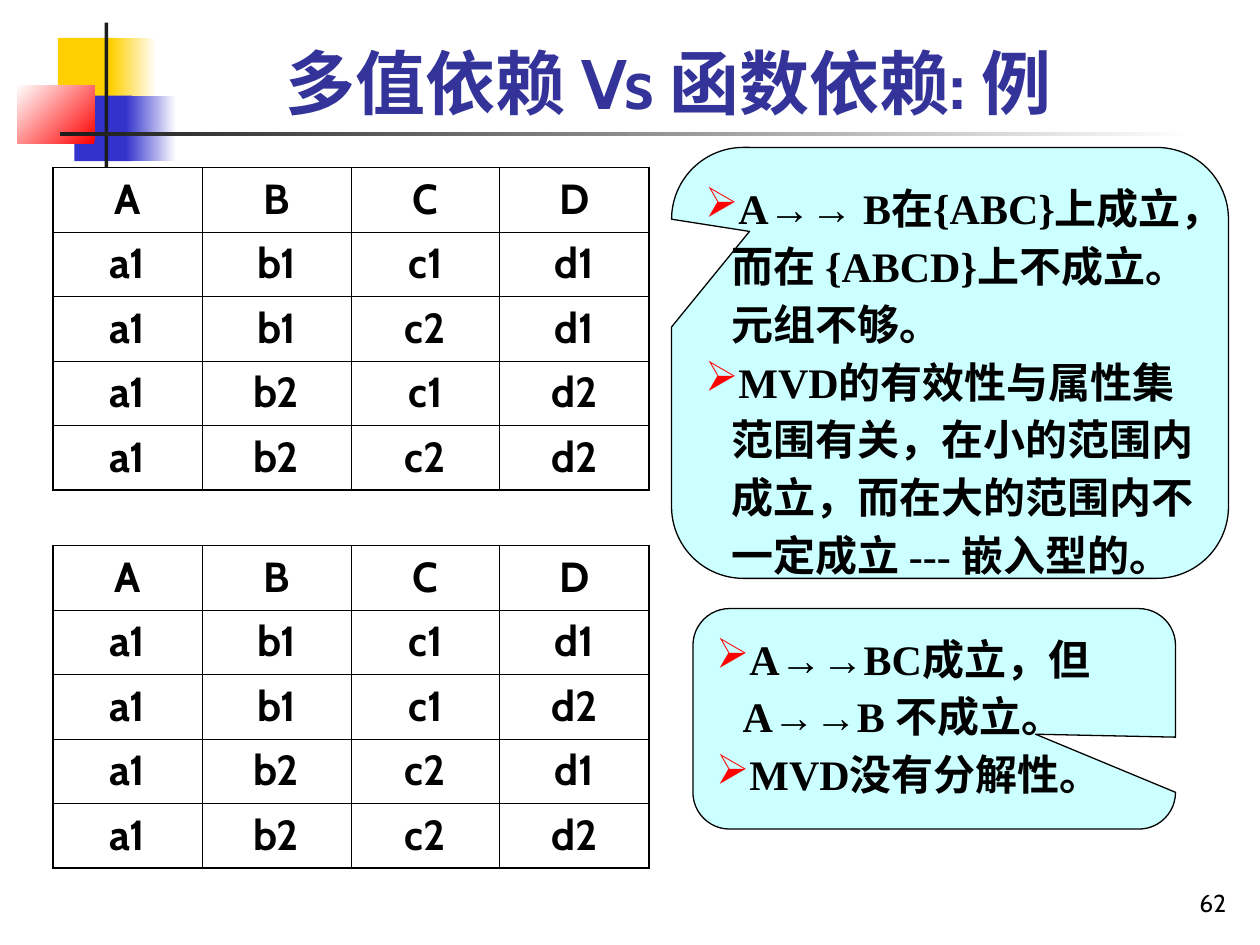
from pptx import Presentation
from pptx import util as u
from pptx.dml.color import RGBColor
from pptx.enum import shapes, text
from pptx.oxml.ns import qn
from lxml import etree

BLACK, WHITE, DARK = "000000", "FFFFFF", "1C1C1C"
YELLOW, BLUE, RED = "FFCF01", "3333CC", "FF0000"
THIN, THICK = 0.45, 1.08

# Each bullet is a list of (text, font) runs
SERIF, ARROW = "Times New Roman", "Arial"
SCOPE_NOTES = [
    [("A", SERIF), ("→→", ARROW),
     (" B在{ABC}上成立，而在 {ABCD}上不成立。元组不够。", SERIF)],
    [("MVD的有效性与属性集范围有关，在小的范围内成立，"
      "而在大的范围内不一定成立 --- 嵌入型的。", SERIF)],
]
SPLIT_NOTES = [
    [("A", SERIF), ("→→", ARROW), ("BC成立，但A", SERIF),
     ("→→", ARROW), ("B 不成立。", SERIF)],
    [("MVD没有分解性。", SERIF)],
]
HEADER = "A B C D"
UPPER_ROWS = [HEADER, "a1 b1 c1 d1", "a1 b1 c2 d1", "a1 b2 c1 d2", "a1 b2 c2 d2"]
LOWER_ROWS = [HEADER, "a1 b1 c1 d1", "a1 b1 c1 d2", "a1 b2 c2 d1", "a1 b2 c2 d2"]


def rgb(value):
    return RGBColor.from_string(value)


def inches(*lengths):
    return [u.Inches(length) for length in lengths]


def add_run(paragraph, content, *, font="Cabin", size=24, color=BLACK, bold=True):
    run = paragraph.add_run()
    run.text = content
    run.font.name = font
    run.font.size = u.Pt(size)
    run.font.bold = bold
    run.font.color.rgb = rgb(color)


def add_block(slide, box, color, fade_to=None, angle=180):
    """Rectangle without outline; fades from fade_to to color if given."""
    shape = slide.shapes.add_shape(shapes.MSO_SHAPE.RECTANGLE, *inches(*box))
    shape.shadow.inherit = False
    shape.line.fill.background()
    if fade_to is None:
        shape.fill.solid()
        shape.fill.fore_color.rgb = rgb(color)
    else:
        shape.fill.gradient()
        shape.fill.gradient_angle = angle
        for stop, value in zip(shape.fill.gradient_stops, (fade_to, color)):
            stop.color.rgb = rgb(value)


def add_text(slide, box, content, align, **style):
    frame = slide.shapes.add_textbox(*inches(*box)).text_frame
    frame.word_wrap = True
    frame.vertical_anchor = text.MSO_ANCHOR.BOTTOM
    paragraph = frame.paragraphs[0]
    paragraph.alignment = align
    add_run(paragraph, content, **style)


def add_bullet(paragraph, char, color):
    properties = paragraph._p.get_or_add_pPr()
    properties.set("marL", str(u.Inches(0.21)))
    properties.set("indent", str(u.Inches(-0.21)))
    bullet_color = etree.SubElement(properties, qn("a:buClr"))
    etree.SubElement(bullet_color, qn("a:srgbClr"), val=color)
    etree.SubElement(properties, qn("a:buChar"), char=char)


def add_callout(slide, box, tip, notes):
    shape = slide.shapes.add_shape(
        shapes.MSO_SHAPE.ROUNDED_RECTANGULAR_CALLOUT, *inches(*box))
    shape.shadow.inherit = False
    shape.adjustments[0], shape.adjustments[1] = tip
    shape.fill.solid()
    shape.fill.fore_color.rgb = rgb("CCFFFF")
    shape.line.color.rgb = rgb(BLACK)
    shape.line.width = u.Pt(0.75)
    frame = shape.text_frame
    frame.word_wrap = True
    frame.vertical_anchor = text.MSO_ANCHOR.TOP
    for index, runs in enumerate(notes):
        paragraph = frame.add_paragraph() if index else frame.paragraphs[0]
        add_bullet(paragraph, "➢", RED)
        paragraph.alignment = text.PP_ALIGN.LEFT
        paragraph.line_spacing = 1.15
        for content, font in runs:
            add_run(paragraph, content, font=font)


def set_borders(cell, widths):
    properties = cell._tc.get_or_add_tcPr()
    for side, width in widths.items():
        line = etree.SubElement(properties, qn(f"a:ln{side}"), w=str(u.Pt(width)))
        fill = etree.SubElement(line, qn("a:solidFill"))
        etree.SubElement(fill, qn("a:srgbClr"), val=BLACK)


def add_relation(slide, top, rows):
    """Table of tuples with thin inner lines and a thicker frame."""
    values = [row.split() for row in rows]
    last_row, last_column = len(values) - 1, len(values[0]) - 1
    table = slide.shapes.add_table(
        len(values), len(values[0]), *inches(0.42, top, 4.73, 2.56)).table
    for r, row in enumerate(values):
        for c, value in enumerate(row):
            cell = table.cell(r, c)
            set_borders(cell, {
                "L": THICK if c == 0 else THIN,
                "R": THICK if c == last_column else THIN,
                "T": THICK if r == 0 else THIN,
                "B": THICK if r == last_row else THIN,
            })
            cell.fill.background()
            paragraph = cell.text_frame.paragraphs[0]
            paragraph.alignment = text.PP_ALIGN.CENTER
            add_run(paragraph, value)


def main():
    presentation = Presentation()
    presentation.slide_width, presentation.slide_height = inches(10, 7.5)
    slide = presentation.slides.add_slide(presentation.slide_layouts[6])

    # Corner decoration and title rule
    add_block(slide, (0.46, 0.3, 0.48, 0.52), YELLOW)
    add_block(slide, (0.88, 0.3, 0.36, 0.52), YELLOW, fade_to=WHITE)
    add_block(slide, (0.59, 0.76, 0.46, 0.52), BLUE)
    add_block(slide, (1, 0.76, 0.4, 0.52), BLUE, fade_to=WHITE)
    add_block(slide, (0.14, 0.68, 0.61, 0.46), WHITE, fade_to=RED, angle=135)
    add_block(slide, (0.83, 0.18, 0.03, 1.15), DARK)
    add_block(slide, (0.48, 1.05, 9, 0.03), DARK, fade_to=WHITE)

    # Page number and title
    add_text(slide, (7.75, 6.83, 2.08, 0.5), "62", text.PP_ALIGN.RIGHT,
             size=14, bold=False)
    add_text(slide, (0.75, 0.17, 9.11, 0.86), "多值依赖 Vs 函数依赖: 例",
             text.PP_ALIGN.CENTER, size=40, color="333399")

    # Remarks beside the relations
    add_callout(slide, (5.33, 1.17, 4.42, 3.42), (-0.36, -0.305), SCOPE_NOTES)
    add_callout(slide, (5.5, 4.83, 3.83, 1.75), (0.21, 0.07), SPLIT_NOTES)

    # Example relations
    add_relation(slide, 1.33, UPPER_ROWS)
    add_relation(slide, 4.33, LOWER_ROWS)

    presentation.save("out.pptx")


if __name__ == "__main__":
    main()
